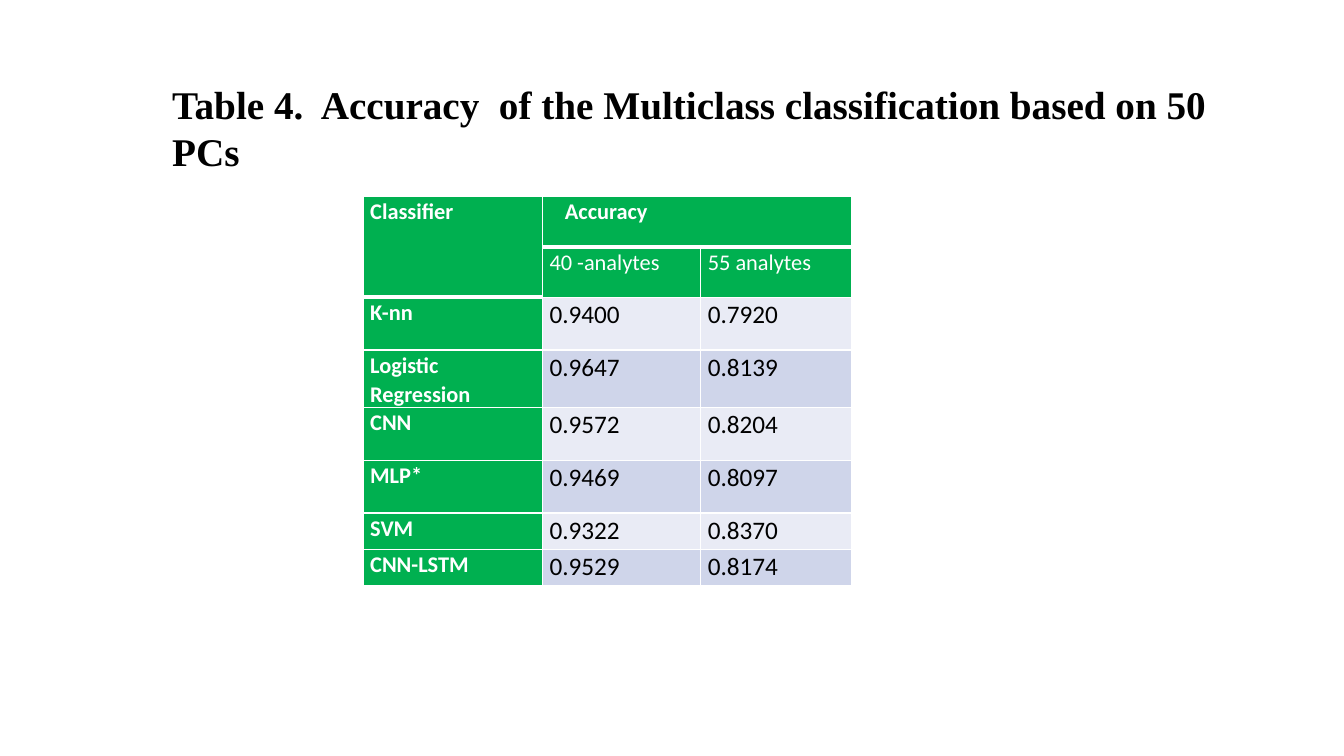
from lxml import etree
from pptx import Presentation
from pptx.dml.color import RGBColor
from pptx.enum.text import MSO_AUTO_SIZE, PP_ALIGN
from pptx.oxml.ns import qn
from pptx.util import Cm, Pt

JUSTIFY = PP_ALIGN.JUSTIFY
GROW = MSO_AUTO_SIZE.SHAPE_TO_FIT_TEXT

GREEN, WHITE, BLACK = "00B050", "FFFFFF", "000000"
BANDS = ("E9EBF5", "CFD5EA")

TITLE = "Table 4.  Accuracy  of the Multiclass classification based on 50 PCs"
ROWS = [
    ("Classifier", "Accuracy", ""),
    ("", "40 -analytes", "55 analytes"),
    ("K-nn", "0.9400", "0.7920"),
    ("Logistic Regression", "0.9647", "0.8139"),
    ("CNN", "0.9572", "0.8204"),
    ("MLP*", "0.9469", "0.8097"),
    ("SVM", "0.9322", "0.8370"),
    ("CNN-LSTM", "0.9529", "0.8174"),
]
WIDTHS = (4.52, 3.99, 3.81)
HEIGHTS = (1.27, 1.27, 1.33, 1.34, 1.33, 1.33, 0.91, 0.91)

# Cells with a heavy rule below them
HEAVY = {(0, 0), (0, 1), (0, 2), (1, 0)}


def color(code):
    return RGBColor.from_string(code)


def style(para, font, size, code, bold):
    for run in para.runs:
        run.font.name = font
        run.font.size = Pt(size)
        run.font.bold = bold
        run.font.color.rgb = color(code)


def add_title(slide):
    box = slide.shapes.add_textbox(Cm(4.09), Cm(1.9), Cm(28.02), Cm(2.62))
    frame = box.text_frame
    frame.word_wrap = True
    frame.auto_size = GROW
    frame.text = TITLE
    style(frame.paragraphs[0], "Times New Roman", 28, BLACK, True)


def add_edge(cell, side, width):
    props = cell._tc.get_or_add_tcPr()
    line = etree.SubElement(props, qn("a:" + side), w=str(Pt(width)))
    fill = etree.SubElement(line, qn("a:solidFill"))
    etree.SubElement(fill, qn("a:srgbClr"), val=WHITE)


def fill_cell(cell, row, col, text):
    # Borders come before the fill in the cell properties
    top = 3 if (row - 1, col) in HEAVY else 1
    base = 3 if (row, col) in HEAVY else 1
    for side, width in (("lnL", 1), ("lnR", 1), ("lnT", top), ("lnB", base)):
        add_edge(cell, side, width)
    head = row < 2 or col == 0
    cell.fill.solid()
    cell.fill.fore_color.rgb = color(GREEN if head else BANDS[row % 2])

    # Text, with the joint heading set in a little
    cell.margin_left = Cm(0.57 if (row, col) == (0, 1) else 0.18)
    cell.margin_right = Cm(0.18)
    cell.margin_top = cell.margin_bottom = Cm(0)
    if text:
        para = cell.text_frame.paragraphs[0]
        para.text = text
        para.alignment = JUSTIFY
        para.line_spacing = 1.07
        bold = row == 0 or col == 0
        style(para, "Calibri", 16 if head else 18,
              WHITE if head else BLACK, bold)


def add_scores(slide):
    frame = slide.shapes.add_table(
        len(ROWS), len(WIDTHS), Cm(9.15), Cm(4.95),
        Cm(sum(WIDTHS)), Cm(sum(HEIGHTS)))
    table = frame.table
    table.first_row = table.horz_banding = False
    for column, width in zip(table.columns, WIDTHS):
        column.width = Cm(width)
    for line, height in zip(table.rows, HEIGHTS):
        line.height = Cm(height)
    for row, texts in enumerate(ROWS):
        for col, text in enumerate(texts):
            fill_cell(table.cell(row, col), row, col, text)

    # Joint headings
    table.cell(0, 0).merge(table.cell(1, 0))
    table.cell(0, 1).merge(table.cell(0, 2))


def main():
    deck = Presentation()
    deck.slide_width, deck.slide_height = Cm(33.87), Cm(19.05)
    slide = deck.slides.add_slide(deck.slide_layouts[6])
    add_title(slide)
    add_scores(slide)
    deck.save("out.pptx")


if __name__ == "__main__":
    main()
